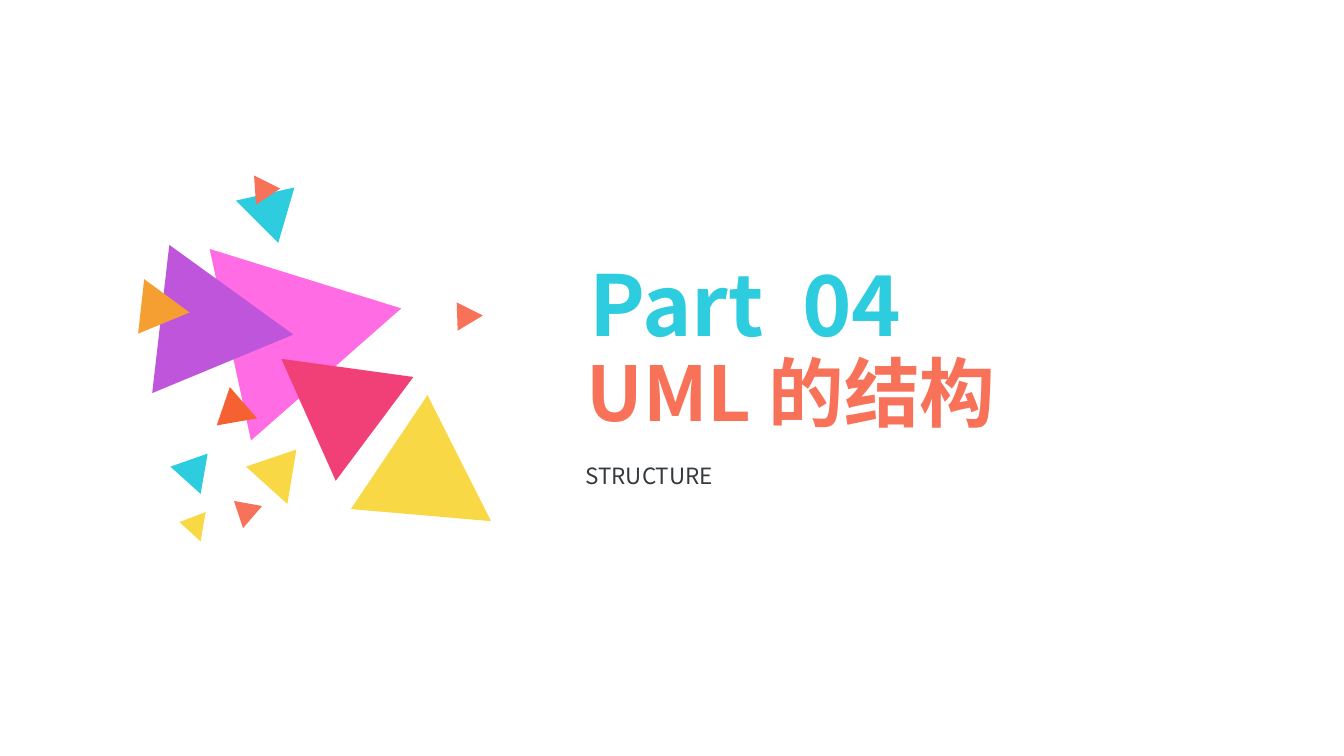
from lxml import etree
from pptx import Presentation
from pptx.dml.color import RGBColor
from pptx.enum.text import MSO_ANCHOR, MSO_AUTO_SIZE, PP_ALIGN
from pptx.oxml.ns import qn
from pptx.util import Pt

PX = 9144  # 100 px to the inch
FONT = "Noto Sans CJK SC"
CYAN, YELLOW, CORAL = "2DCCDF", "F8D845", "F77258"


def color(hex_text):
    return RGBColor.from_string(hex_text)


def place_text(shape, text, box, size, hex_text, bold):
    shape.left, shape.top, shape.width, shape.height = [n * PX for n in box]
    frame = shape.text_frame
    frame.text = text
    frame.word_wrap = True
    frame.auto_size = MSO_AUTO_SIZE.SHAPE_TO_FIT_TEXT
    frame.vertical_anchor = MSO_ANCHOR.MIDDLE
    paragraph = frame.paragraphs[0]
    paragraph.alignment = PP_ALIGN.LEFT
    font = paragraph.runs[0].font
    font.name, font.size, font.bold = FONT, Pt(size), bold
    font.color.rgb = color(hex_text)
    # East Asian characters take their own font entry
    east_asian = etree.SubElement(paragraph.runs[0]._r.get_or_add_rPr(), qn("a:ea"))
    east_asian.set("typeface", FONT)


presentation = Presentation()
presentation.slide_width = 1333 * PX
presentation.slide_height = 750 * PX
slide = presentation.slides.add_slide(presentation.slide_layouts[5])

# Scattered triangles, from back to front
triangles = [
    (CYAN, [(292, 186), (276, 241), (234, 199)]),
    ("FF6CE4", [(249, 437), (208, 247), (398, 306)]),
    ("BF55DB", [(151, 390), (168, 243), (291, 332)]),
    ("F59E32", [(137, 331), (143, 277), (188, 310)]),
    ("F56130", [(215, 422), (228, 384), (255, 415)]),
    (CYAN, [(169, 463), (206, 450), (199, 490)]),
    (YELLOW, [(178, 518), (204, 508), (199, 537)]),
    (CORAL, [(241, 524), (232, 497), (260, 502)]),
    (YELLOW, [(244, 463), (294, 446), (285, 500)]),
    (YELLOW, [(348, 505), (424, 392), (487, 517)]),
    ("F04077", [(410, 374), (333, 477), (279, 356)]),
    (CORAL, [(454, 328), (453, 300), (479, 313)]),
    (CORAL, [(254, 203), (252, 174), (278, 187)]),
]
for fill, (start, *others) in triangles:
    builder = slide.shapes.build_freeform(*start, scale=PX)
    builder.add_line_segments(others, close=True)
    triangle = builder.convert_to_shape()
    triangle.shadow.inherit = False
    triangle.fill.solid()
    triangle.fill.fore_color.rgb = color(fill)
    triangle.line.fill.background()

# Part number, title and subtitle
part_number = slide.shapes.add_textbox(0, 0, PX, PX)
place_text(part_number, "Part  04", (575, 245, 450, 111), 60, CYAN, True)
place_text(slide.shapes.title, "UML 的结构", (572, 338, 682, 101), 54, CORAL, True)
subtitle = slide.shapes.add_textbox(0, 0, PX, PX)
place_text(subtitle, "STRUCTURE", (571, 453, 662, 37), 16, "353A3E", False)

presentation.save("out.pptx")
